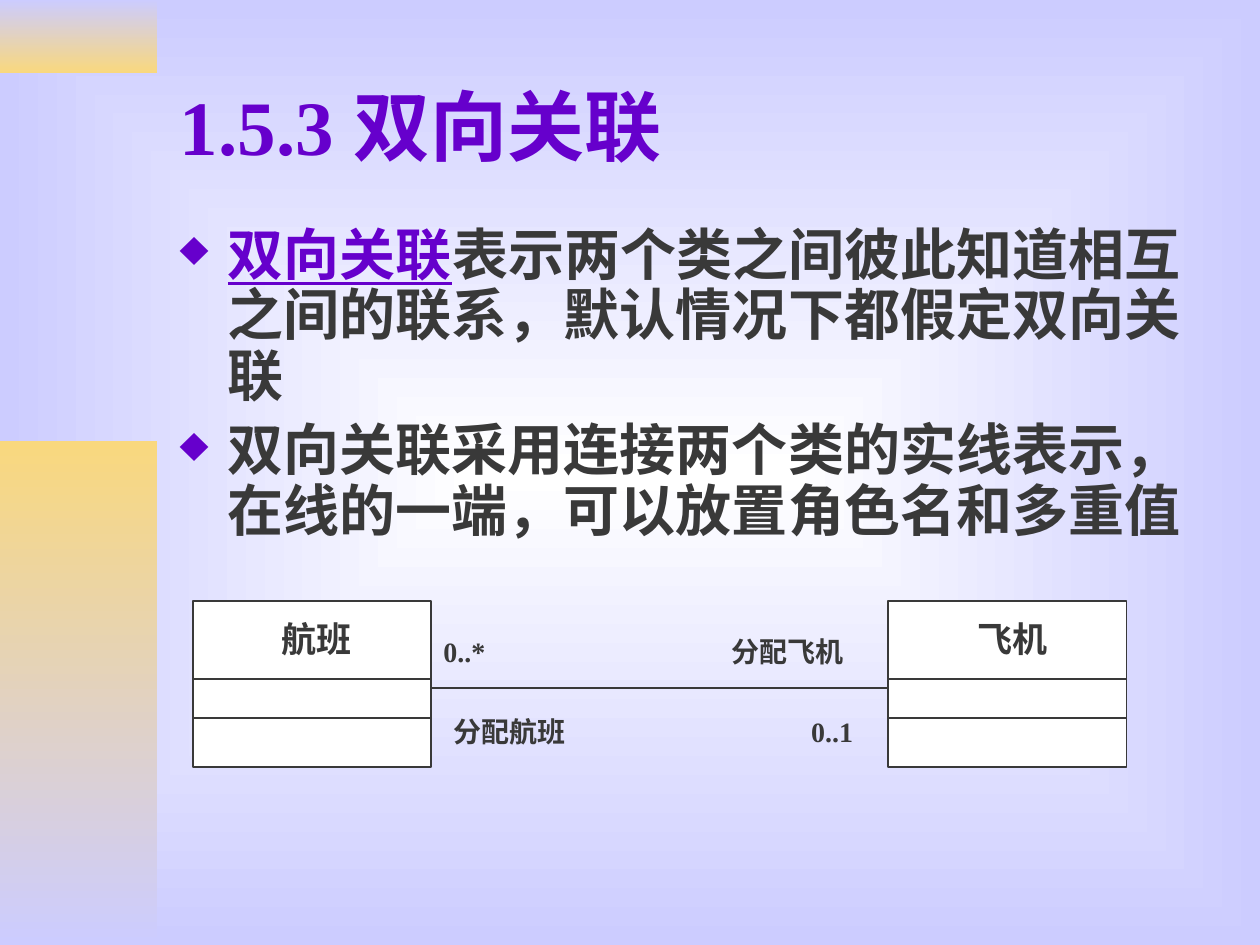
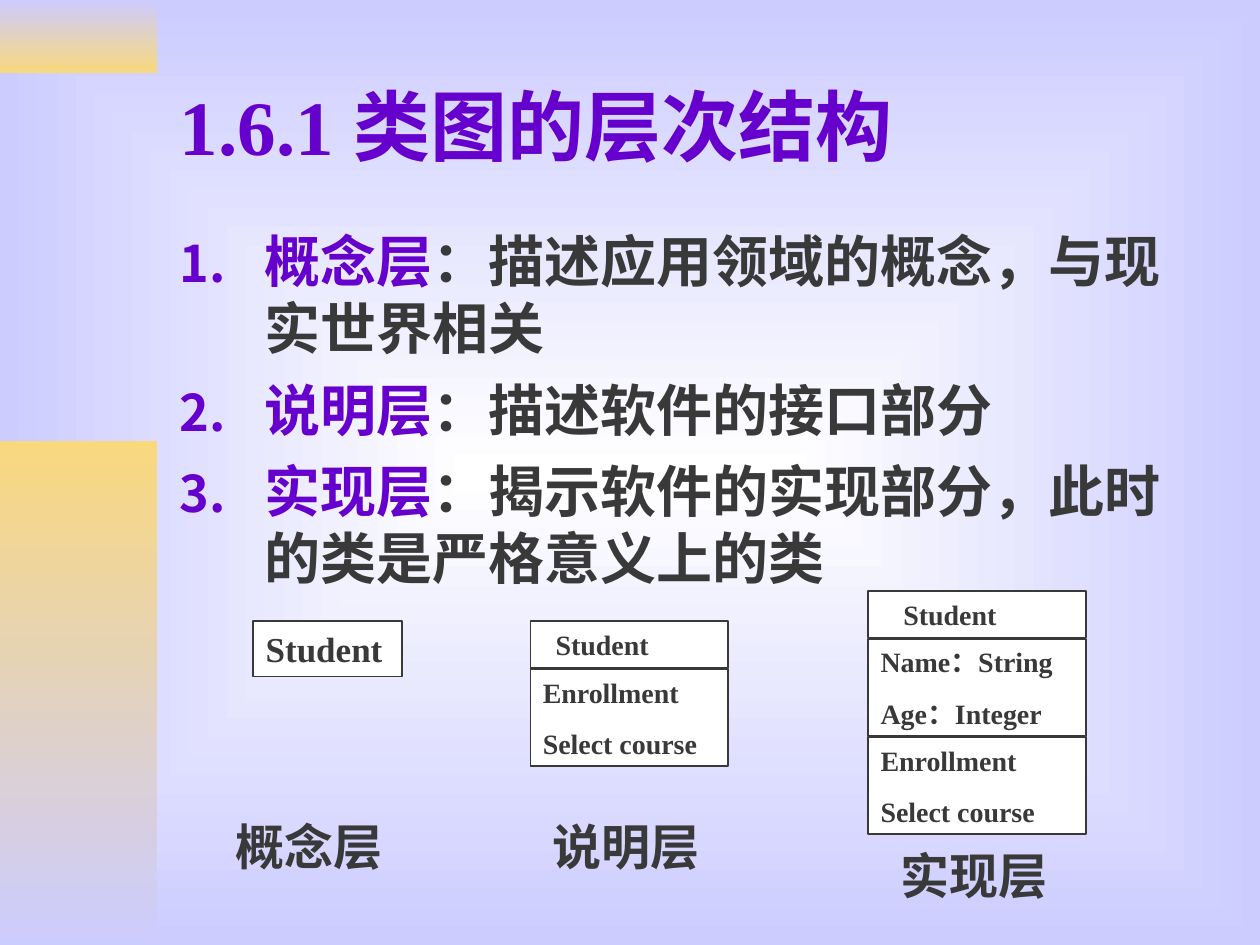
from dataclasses import dataclass
from typing import Optional

from lxml.etree import SubElement
from pptx import Presentation
from pptx.dml.color import RGBColor
from pptx.enum.lang import MSO_LANGUAGE_ID
from pptx.enum.shapes import MSO_CONNECTOR, MSO_SHAPE
from pptx.enum.text import MSO_ANCHOR, PP_ALIGN
from pptx.oxml.ns import qn
from pptx.util import Inches, Pt

COLORS = {
    "accent": "6600CC",
    "ink": "393939",
    "paper": "FFFFFF",
    "lavender": "CCCCFF",
    "gold": "F9D87E",
}
LINE_WIDTH = Pt(1)
FONT_FORMAT = {
    "name": "Times New Roman",
    "bold": True,
    "language_id": MSO_LANGUAGE_ID.SIMPLIFIED_CHINESE,
}


@dataclass(frozen=True)
class Area:
    left: float
    top: float
    width: float
    height: float

    def lengths(self) -> tuple:
        return tuple(Inches(v) for v in (self.left, self.top, self.width, self.height))


@dataclass(frozen=True)
class Span:
    text: str
    color: str = "ink"
    underline: bool = False


@dataclass(frozen=True)
class Style:
    size: float
    space_before: float = 0
    line_spacing: Optional[float] = None
    alignment: PP_ALIGN = PP_ALIGN.LEFT
    anchor: MSO_ANCHOR = MSO_ANCHOR.TOP
    bullet: Optional[str] = None
    indent: float = 0
    margin_left: float = 0.1


@dataclass(frozen=True)
class Band:
    area: Area
    top_color: str
    bottom_color: str


@dataclass(frozen=True)
class Label:
    text: str
    area: Area


@dataclass(frozen=True)
class Compartment:
    lines: tuple
    height: float
    size: float = 16
    margin_left: float = 0.1


@dataclass(frozen=True)
class ClassLayer:
    name: str
    left: float
    top: float
    width: float
    name_left: float
    name_top: float
    compartments: tuple


BANDS = (
    Band(Area(0, 0, 1.25, 0.58), "lavender", "gold"),
    Band(Area(0, 3.5, 1.25, 4), "gold", "lavender"),
)
TITLE_AREA = Area(1.33, 0.33, 8.5, 1.32)
TITLE_STYLE = Style(44, anchor=MSO_ANCHOR.MIDDLE)
DIAMOND_STYLE = Style(32, 8, 0.9, bullet="♦", indent=0.38)
NUMBER_STYLE = Style(32, 8, bullet="number", indent=0.67)
CLASS_NAME_STYLE = Style(20, alignment=PP_ALIGN.CENTER)
ROLE_STYLE = Style(16)
LAYER_NAME_STYLE = Style(28)

ASSOCIATION_POINTS = (
    (Span("双向关联", "accent", True),
     Span("表示两个类之间彼此知道相互之间的联系，默认情况下都假定双向关联")),
    (Span("双向关联采用连接两个类的实线表示，在线的一端，可以放置角色名和多重值"),),
)
CLASS_TOP, CLASS_WIDTH, CLASS_HEIGHT = 4.77, 1.89, 1.32
DIVIDER_TOPS = (5.39, 5.7)
ASSOCIATION_TOP = 5.46
CLASS_LEFTS = {"航班": 1.53, "飞机": 7.05}
ROLES = (
    Label("0..*", Area(3.42, 4.99, 0.71, 0.37)),
    Label("分配飞机", Area(5.71, 4.99, 1.18, 0.37)),
    Label("分配航班", Area(3.5, 5.62, 1.18, 0.37)),
    Label("0..1", Area(6.34, 5.62, 0.63, 0.37)),
)

LAYER_POINTS = tuple(
    (Span(name, "accent"), Span(f"：{meaning}"))
    for name, meaning in (
        ("概念层", "描述应用领域的概念，与现实世界相关"),
        ("说明层", "描述软件的接口部分"),
        ("实现层", "揭示软件的实现部分，此时的类是严格意义上的类"),
    )
)
COMPARTMENT_GAP = 0.01
OPERATIONS = Compartment(("Enrollment", "Select course"), 0.77)
ATTRIBUTES = Compartment(("Name：String", "Age：Integer"), 0.77)
LAYERS = (
    ClassLayer("概念层", 2.01, 4.93, 1.18, 1.77, 6.43,
               (Compartment(("Student",), 0.44, 20),)),
    ClassLayer("说明层", 4.21, 4.93, 1.57, 4.29, 6.43,
               (Compartment(("Student",), 0.37, margin_left=0.2), OPERATIONS)),
    ClassLayer("实现层", 6.89, 4.69, 1.73, 7.05, 6.66,
               (Compartment(("Student",), 0.37, margin_left=0.28), ATTRIBUTES, OPERATIONS)),
)


def rgb(name: str) -> RGBColor:
    return RGBColor.from_string(COLORS[name])


def set_format(target, values: dict) -> None:
    for name, value in values.items():
        setattr(target, name, value)


def set_gradient(fill, *colors: str) -> None:
    fill.gradient()
    for stop, color in zip(fill.gradient_stops, colors):
        stop.color.rgb = rgb(color)


def add_bullet(para, style: Style) -> None:
    properties = para._p.get_or_add_pPr()
    indent = Inches(style.indent)
    properties.set("marL", str(indent))
    properties.set("indent", str(-indent))
    color = SubElement(properties, qn("a:buClr"))
    SubElement(color, qn("a:srgbClr"), val=COLORS["accent"])
    SubElement(properties, qn("a:buSzPct"), val="90000")
    if style.bullet == "number":
        SubElement(properties, qn("a:buAutoNum"), type="arabicPeriod")
    else:
        SubElement(properties, qn("a:buChar"), char=style.bullet)


def write_text(shape, paragraphs: tuple, style: Style) -> None:
    frame = shape.text_frame
    set_format(frame, {
        "word_wrap": True,
        "vertical_anchor": style.anchor,
        "margin_left": Inches(style.margin_left),
        "margin_right": Inches(0.1),
        "margin_top": Inches(0.05),
        "margin_bottom": Inches(0.05),
    })
    for index, spans in enumerate(paragraphs):
        para = frame.add_paragraph() if index else frame.paragraphs[0]
        if style.bullet:
            add_bullet(para, style)
        set_format(para, {
            "alignment": style.alignment,
            "line_spacing": style.line_spacing,
            "space_before": Pt(style.space_before if index else 0),
        })
        for span in spans:
            run = para.add_run()
            run.text = span.text
            set_format(run.font, {**FONT_FORMAT, "size": Pt(style.size),
                                  "underline": span.underline})
            run.font.color.rgb = rgb(span.color)


def add_text(page, area: Area, paragraphs: tuple, style: Style) -> None:
    write_text(page.shapes.add_textbox(*area.lengths()), paragraphs, style)


def add_rectangle(page, area: Area):
    box = page.shapes.add_shape(MSO_SHAPE.RECTANGLE, *area.lengths())
    box.shadow.inherit = False
    return box


def add_outlined_box(page, area: Area):
    box = add_rectangle(page, area)
    box.fill.solid()
    box.fill.fore_color.rgb = rgb("paper")
    box.line.color.rgb = rgb("ink")
    box.line.width = LINE_WIDTH
    return box


def add_horizontal_line(page, left: float, right: float, top: float) -> None:
    line = page.shapes.add_connector(
        MSO_CONNECTOR.STRAIGHT, Inches(left), Inches(top), Inches(right), Inches(top))
    line.line.color.rgb = rgb("ink")
    line.line.width = LINE_WIDTH
    SubElement(line._element.spPr, qn("a:effectLst"))


def set_background(page) -> None:
    set_gradient(page.background.fill, "paper", "lavender")
    gradient = page._element.find(f".//{qn('a:gradFill')}")
    linear = gradient.find(qn("a:lin"))
    if linear is not None:
        gradient.remove(linear)
    center = SubElement(gradient, qn("a:path"))
    center.set("path", "rect")
    SubElement(center, qn("a:fillToRect"), l="50000", t="50000", r="50000", b="50000")


def add_page(deck, title: str):
    page = deck.slides.add_slide(deck.slide_layouts[6])
    set_background(page)
    for band in BANDS:
        box = add_rectangle(page, band.area)
        set_gradient(box.fill, band.top_color, band.bottom_color)
        box.fill.gradient_angle = 270
        box.line.fill.background()
    add_text(page, TITLE_AREA, ((Span(title, "accent"),),), TITLE_STYLE)
    return page


def add_association_page(deck) -> None:
    page = add_page(deck, "1.5.3 双向关联")
    add_text(page, Area(1.33, 1.75, 8.5, 2.63), ASSOCIATION_POINTS, DIAMOND_STYLE)
    for name, left in CLASS_LEFTS.items():
        add_outlined_box(page, Area(left, CLASS_TOP, CLASS_WIDTH, CLASS_HEIGHT))
        add_text(page, Area(left + 0.16, CLASS_TOP + 0.08, 1.65, 0.44),
                 ((Span(name),),), CLASS_NAME_STYLE)
        for top in DIVIDER_TOPS:
            add_horizontal_line(page, left, left + CLASS_WIDTH, top)
    add_horizontal_line(page, CLASS_LEFTS["航班"] + CLASS_WIDTH,
                        CLASS_LEFTS["飞机"], ASSOCIATION_TOP)
    for role in ROLES:
        add_text(page, role.area, ((Span(role.text),),), ROLE_STYLE)


def add_class_layer(page, layer: ClassLayer) -> None:
    top = layer.top
    for part in layer.compartments:
        box = add_outlined_box(page, Area(layer.left, top, layer.width, part.height))
        write_text(box, tuple((Span(line),) for line in part.lines),
                   Style(part.size, 10, margin_left=part.margin_left))
        top += part.height + COMPARTMENT_GAP
    add_text(page, Area(layer.name_left, layer.name_top, 1.42, 0.57),
             ((Span(layer.name),),), LAYER_NAME_STYLE)


def add_layers_page(deck) -> None:
    page = add_page(deck, "1.6.1 类图的层次结构")
    add_text(page, Area(1.33, 1.75, 8, 3.18), LAYER_POINTS, NUMBER_STYLE)
    for layer in LAYERS:
        add_class_layer(page, layer)


def main() -> None:
    deck = Presentation()
    deck.slide_width = Inches(10)
    deck.slide_height = Inches(7.5)
    add_association_page(deck)
    add_layers_page(deck)
    deck.save("out.pptx")


if __name__ == "__main__":
    main()
